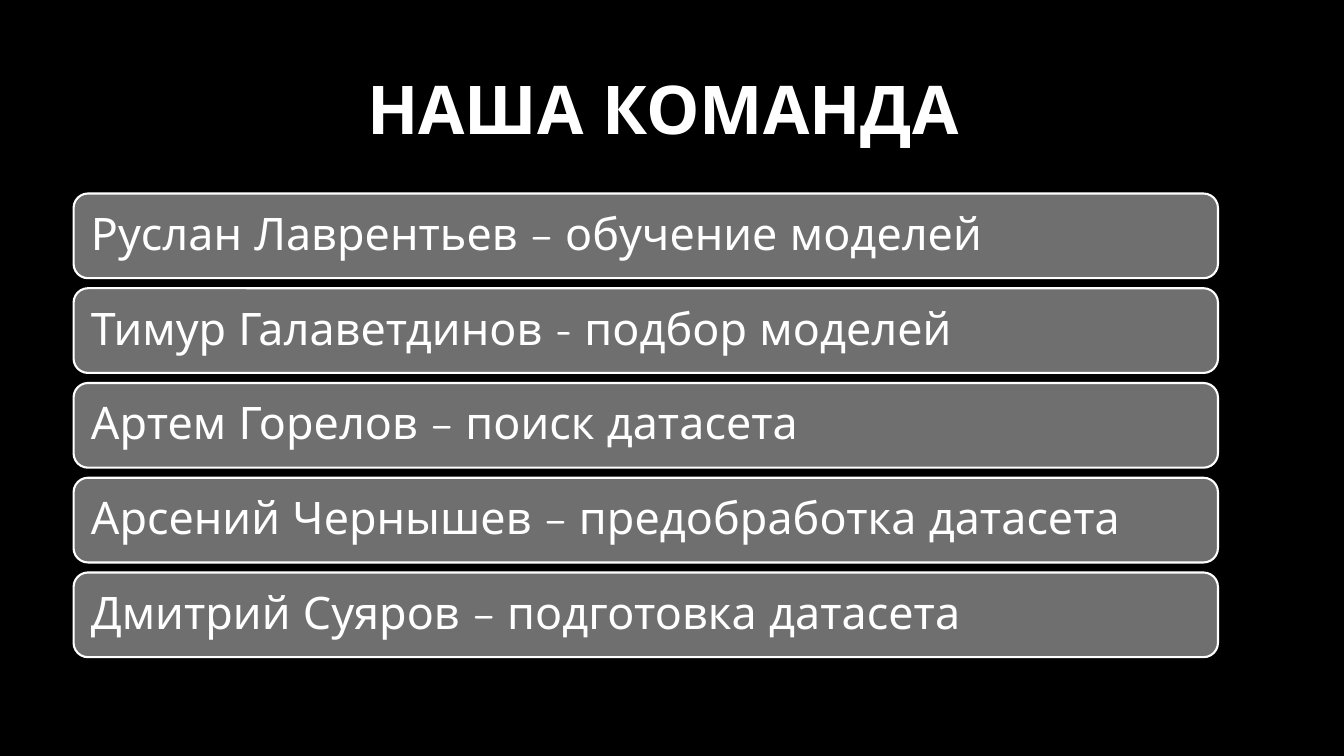
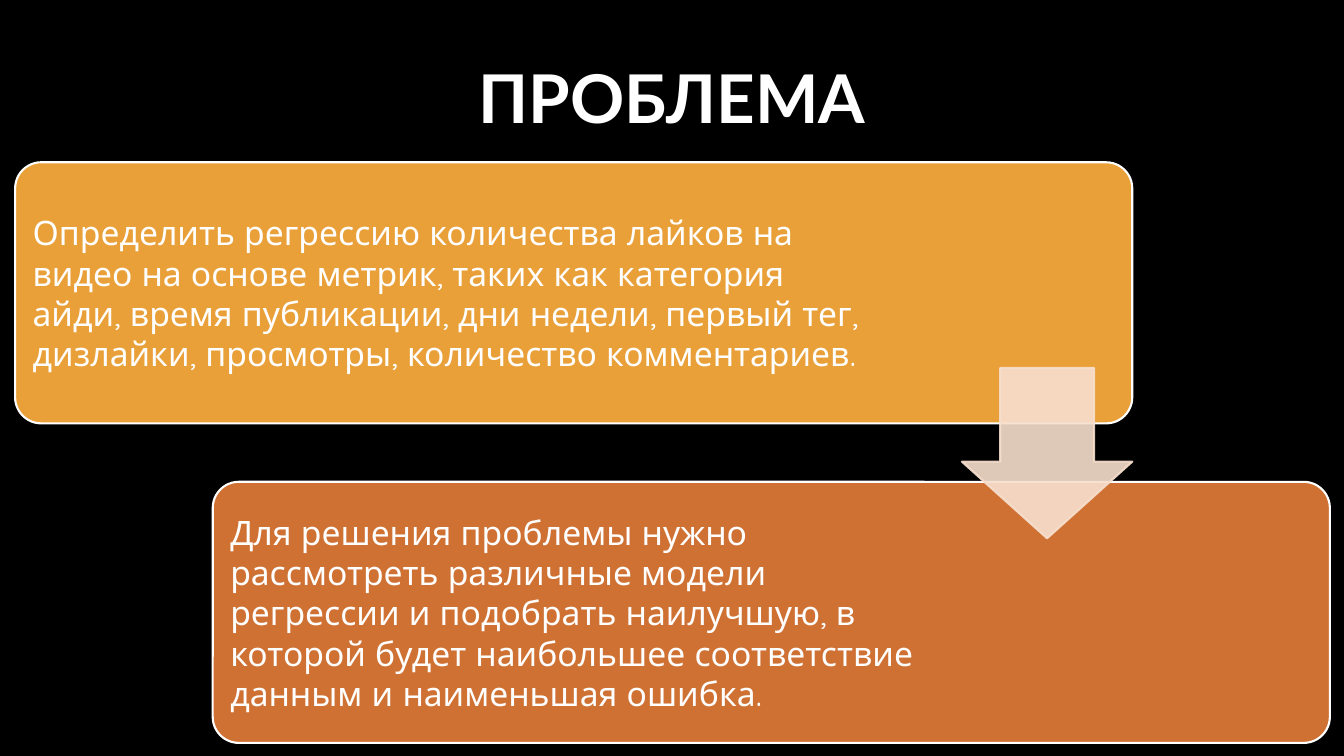
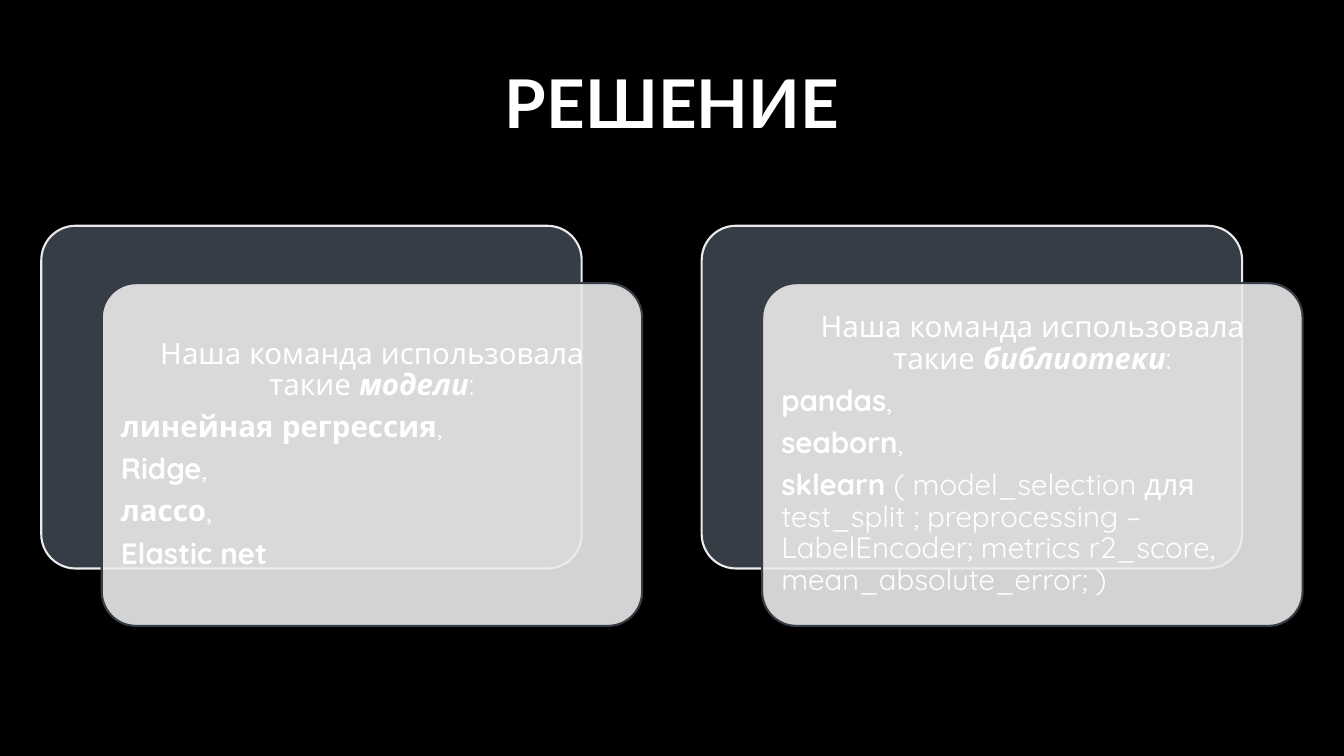
from dataclasses import dataclass
from typing import NamedTuple

from pptx import Presentation
from pptx import util as u
from pptx.dml.color import RGBColor
from pptx.enum import shapes, text
from pptx.oxml import ns
from pptx.oxml.xmlchemy import OxmlElement

COLORS = {
    "black": "000000", "white": "FFFFFF", "silver": "A6A6A6", "gray": "6F6F6F",
    "amber": "E9A039", "rust": "CF7133", "peach": "F7DFCE",
    "slate": "363D46", "mist": "EBEBEB",
}
BODY_FONT = "Quicksand"
TITLE_SIZE = 48
SPACE_AFTER = 0.35  # share of the text size
LEFT, CENTER = text.PP_ALIGN.LEFT, text.PP_ALIGN.CENTER
ROUNDED = shapes.MSO_SHAPE.ROUNDED_RECTANGLE
ARROW = shapes.MSO_SHAPE.DOWN_ARROW


class Box(NamedTuple):
    """Left, top, width and height in inches."""
    left: float
    top: float
    width: float
    height: float

    def moved(self, right: float = 0, down: float = 0) -> "Box":
        return self._replace(left=self.left + right, top=self.top + down)

    def emu(self) -> list[u.Length]:
        return [u.Inches(length) for length in self]


class Run(NamedTuple):
    words: str
    bold: bool = False
    italic: bool = False


class Line(NamedTuple):
    runs: tuple[Run, ...]
    align: text.PP_ALIGN = LEFT


class TextStyle(NamedTuple):
    size: int
    inset: float
    spacing: float
    right_inset: float = 0


@dataclass(frozen=True)
class Panel:
    box: Box
    fill: str
    line: str
    kind: shapes.MSO_SHAPE = ROUNDED
    adjust: tuple[float, ...] = (0.1,)
    fill_opacity: int = 100
    line_opacity: int = 100


def color(name: str) -> RGBColor:
    return RGBColor.from_string(COLORS[name])


def apply(target, **formats) -> None:
    for name, value in formats.items():
        setattr(target, name, value)


def set_opacity(parent, percent: int) -> None:
    """Make the solid fill directly below parent partly transparent."""
    if percent < 100:
        alpha = OxmlElement("a:alpha")
        alpha.set("val", str(percent * 1000))
        parent.find(ns.qn("a:solidFill"))[0].append(alpha)


def draw_panel(slide, panel: Panel):
    shape = slide.shapes.add_shape(panel.kind, *panel.box.emu())
    shape.shadow.inherit = False
    for index, value in enumerate(panel.adjust):
        shape.adjustments[index] = value
    shape.fill.solid()
    shape.fill.fore_color.rgb = color(panel.fill)
    shape.line.color.rgb = color(panel.line)
    shape.line.width = u.Pt(1.5)
    properties = shape.element.spPr
    set_opacity(properties, panel.fill_opacity)
    set_opacity(properties.find(ns.qn("a:ln")), panel.line_opacity)
    return shape


def write(shape, lines: list[Line], style: TextStyle) -> None:
    frame = shape.text_frame
    inset = u.Inches(style.inset)
    apply(frame, word_wrap=True, vertical_anchor=text.MSO_ANCHOR.MIDDLE,
          margin_left=inset, margin_top=inset, margin_bottom=inset,
          margin_right=u.Inches(style.right_inset or style.inset))
    for index, line in enumerate(lines):
        paragraph = frame.add_paragraph() if index else frame.paragraphs[0]
        apply(paragraph, alignment=line.align, line_spacing=style.spacing,
              space_after=u.Pt(style.size * SPACE_AFTER))
        for part in line.runs:
            run = paragraph.add_run()
            run.text = part.words
            apply(run.font, name=BODY_FONT, size=u.Pt(style.size),
                  bold=part.bold, italic=part.italic)
            run.font.color.rgb = color("white")


def add_titled_slide(deck, words: str, box: Box, font: str):
    slide = deck.slides.add_slide(deck.slide_layouts.get_by_name("Title Only"))
    title = slide.shapes.title
    for name, value in zip(Box._fields, box.emu()):
        setattr(title, name, value)
    title.text_frame.text = words
    apply(title.text_frame, vertical_anchor=text.MSO_ANCHOR.MIDDLE,
          word_wrap=True, auto_size=text.MSO_AUTO_SIZE.NONE)
    paragraph = title.text_frame.paragraphs[0]
    apply(paragraph, alignment=CENTER, line_spacing=1.0)
    face = paragraph.runs[0].font
    apply(face, name=font, size=u.Pt(TITLE_SIZE), bold=True)
    face.fill.gradient()
    face.fill.gradient_angle = 267
    for stop, shade in zip(face.fill.gradient_stops, ("white", "silver")):
        stop.color.rgb = color(shade)
    return slide


def add_team(deck) -> None:
    slide = add_titled_slide(deck, "НАША КОМАНДА",
                             Box(1.16, 0.03, 10.83, 2.08), BODY_FONT)
    members = (
        "Руслан Лаврентьев – обучение моделей",
        "Тимур Галаветдинов - подбор моделей",
        "Артем Горелов – поиск датасета",
        "Арсений Чернышев – предобработка датасета",
        "Дмитрий Суяров – подготовка датасета",
    )
    first_bar, row_pitch = Box(0.73, 1.92, 11.35, 0.84), 0.94
    for row, member in enumerate(members):
        bar = draw_panel(slide, Panel(first_bar.moved(down=row * row_pitch),
                                      "gray", "white", adjust=(0.17,)))
        write(bar, [Line((Run(member),))], TextStyle(32, 0.13, 0.9))


def add_problem(deck) -> None:
    slide = add_titled_slide(deck, "ПРОБЛЕМА",
                             Box(1.25, 0.15, 10.83, 1.61), "Lato")
    steps = (
        ("amber", 2.55, "Определить регрессию количества лайков на видео на "
         "основе метрик, таких как категория айди, время публикации, дни "
         "недели, первый тег, дизлайки, просмотры, количество комментариев."),
        ("rust", 3.75, "Для решения проблемы нужно рассмотреть различные "
         "модели регрессии и подобрать наилучшую, в которой будет наибольшее "
         "соответствие данным и наименьшая ошибка."),
    )
    first_step = Box(0.15, 1.61, 11.08, 2.59)
    for index, (fill, right_inset, words) in enumerate(steps):
        box = first_step.moved(index * 1.96, index * 3.17)
        step = draw_panel(slide, Panel(box, fill, "white"))
        write(step, [Line((Run(words),))], TextStyle(24, 0.1, 1.0, right_inset))
    draw_panel(slide, Panel(Box(9.54, 3.65, 1.69, 1.69), "peach", "peach", ARROW,
                            (0.55, 0.45), fill_opacity=90, line_opacity=90))


def add_solution(deck) -> None:
    slide = add_titled_slide(deck, "РЕШЕНИЕ",
                             Box(1.25, 0.2, 10.83, 1.61), "Lato")
    cards = (
        ("модели", (("линейная регрессия", ","), ("Ridge", ","),
                    ("лассо", ","), ("Elastic net", ""))),
        ("библиотеки", (("pandas", ","), ("seaborn", ","),
                        ("sklearn ", "( model_selection для test_split ; "
                         "preprocessing – LabelEncoder; metrics r2_score, "
                         "mean_absolute_error; )"))),
    )
    first_back, column_pitch = Box(0.41, 2.24, 5.36, 3.4), 6.55
    for column, (topic, items) in enumerate(cards):
        back = first_back.moved(column * column_pitch)
        draw_panel(slide, Panel(back, "slate", "mist"))
        card = draw_panel(slide, Panel(back.moved(0.6, 0.57), "mist", "slate",
                                       fill_opacity=90))
        lines = [Line((Run("Наша команда использовала такие "),
                       Run(topic, True, True), Run(":")), CENTER)]
        for name, tail in items:
            ending = (Run(tail),) if tail else ()
            lines.append(Line((Run(name, True), *ending)))
        write(card, lines, TextStyle(21, 0.09, 0.9))


def main() -> None:
    deck = Presentation()
    deck.slide_width, deck.slide_height = u.Inches(13.33), u.Inches(7.5)
    backdrop = deck.slide_master.background.fill
    backdrop.solid()
    backdrop.fore_color.rgb = color("black")
    for add_slide in (add_team, add_problem, add_solution):
        add_slide(deck)
    deck.save("out.pptx")


if __name__ == "__main__":
    main()
